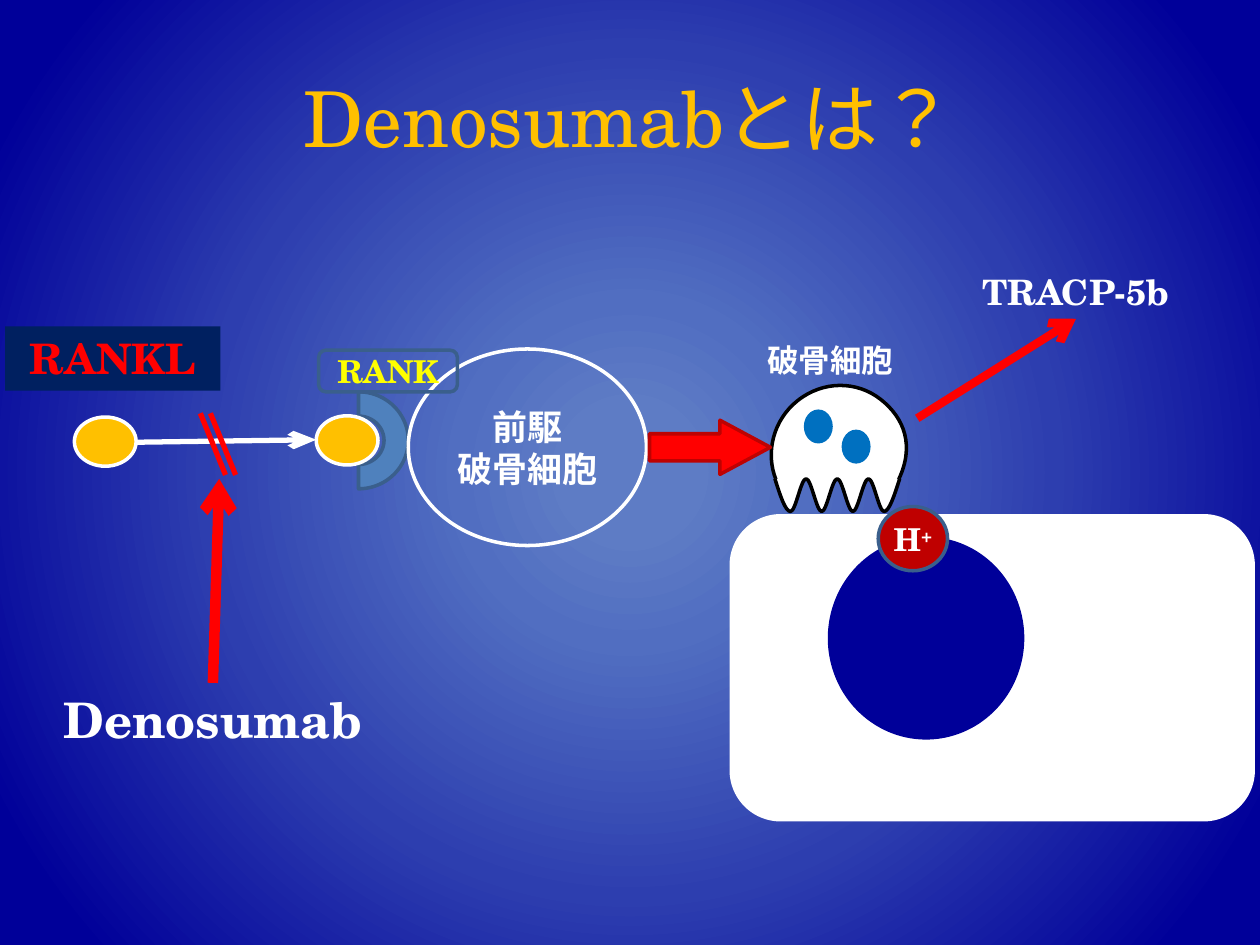
from dataclasses import dataclass

from lxml import etree
from pptx import Presentation
from pptx.dml.color import RGBColor
from pptx.enum.lang import MSO_LANGUAGE_ID as LANG
from pptx.enum.shapes import MSO_CONNECTOR, MSO_SHAPE as SHAPE
from pptx.enum.text import MSO_ANCHOR as ANCHOR, PP_ALIGN as ALIGN
from pptx.oxml import parse_xml
from pptx.oxml.ns import nsdecls, qn
from pptx.util import Inches, Pt


@dataclass(frozen=True)
class Theme:
    latin: str = "TeX Gyre Schola"
    asian: str = "Noto Sans CJK JP"
    white: str = "FFFFFF"
    black: str = "000000"
    gold: str = "FFC000"
    yellow: str = "FFFF00"
    red: str = "FF0000"
    dark_red: str = "BE0202"
    proton: str = "BF0000"
    navy: str = "002060"
    deep_blue: str = "000099"
    eye: str = "0070C0"
    receptor: str = "4F81BD"
    edge: str = "3A5F8C"
    gradient: tuple = ((8, "5E7CC5"), (22, "516EC1"), (54, "2D3EAF"), (91, "000099"))
    title: int = 44
    drug: int = 28
    ligand: int = 24
    label: int = 20
    small: int = 18


T = Theme()


@dataclass(frozen=True)
class Box:
    """A region, in inches; parts are placed from its top left corner."""
    x: float
    y: float

    def point(self, x, y):
        return Inches(self.x + x), Inches(self.y + y)

    def area(self, x, y, w, h):
        return *self.point(x, y), Inches(w), Inches(h)


def rgb(value):
    return RGBColor.from_string(value)


def paint(sp, fill=None, line=None, width=2):
    sp.shadow.inherit = False
    if fill:
        sp.fill.solid()
        sp.fill.fore_color.rgb = rgb(fill)
    else:
        sp.fill.background()
    if line:
        sp.line.color.rgb = rgb(line)
        sp.line.width = Pt(width)
    else:
        sp.line.fill.background()
    return sp


def write(sp, text, size, color, bold=True, latin=T.latin, anchor=ANCHOR.TOP,
          align=ALIGN.CENTER):
    tf = sp.text_frame
    tf.text = text
    tf.word_wrap = True
    tf.vertical_anchor = anchor
    for p in tf.paragraphs:
        p.alignment = align
        for r in p.runs:
            style(r, size, color, bold, latin)
    return sp


def style(r, size, color, bold=True, latin=T.latin):
    r.font.size = Pt(size)
    r.font.bold = bold
    r.font.name = latin
    r.font.color.rgb = rgb(color)
    r.font.language_id = LANG.JAPANESE
    etree.SubElement(r.font._element, qn("a:ea"), typeface=T.asian)


def add_shape(s, kind, area, fill=None, line=None):
    return paint(s.shapes.add_shape(kind, *area), fill, line)


def add_label(s, area, text, size, align=ALIGN.CENTER):
    return write(s.shapes.add_textbox(*area), text, size, T.white, align=align)


def add_line(s, start, end, color, width, arrow=None):
    """Straight line; arrow is the length of the head, if it has one."""
    line = s.shapes.add_connector(MSO_CONNECTOR.STRAIGHT, *start, *end)
    line.line.color.rgb = rgb(color)
    line.line.width = Pt(width)
    if arrow:
        etree.SubElement(line.line._get_or_add_ln(), qn("a:tailEnd"), type="arrow", len=arrow)
    etree.SubElement(line._element.spPr, qn("a:effectLst"))


def add_curve(s, box, start, segments, fill, line):
    """Open outline of cubic curves, each given by two controls and an end."""
    fb = s.shapes.build_freeform(*box.point(*start))
    fb.add_line_segments([box.point(*pt) for seg in segments for pt in seg], close=False)
    sp = fb.convert_to_shape()
    path = sp._element.find(".//" + qn("a:path"))
    strokes = path.findall(qn("a:lnTo"))
    for i in range(0, len(strokes), 3):
        cubic = etree.SubElement(path, qn("a:cubicBezTo"))
        for stroke in strokes[i:i + 3]:
            cubic.append(stroke[0])
            path.remove(stroke)
    return paint(sp, fill, line)


def add_background(s):
    fill = s.background.fill
    fill.solid()
    stops = "".join(f'<a:gs pos="{pos * 1000}"><a:srgbClr val="{c}"/></a:gs>'
                    for pos, c in T.gradient)
    grad = parse_xml(
        f'<a:gradFill {nsdecls("a")} rotWithShape="1"><a:gsLst>{stops}</a:gsLst>'
        '<a:path path="circle"><a:fillToRect l="50000" t="50000" r="50000" b="50000"/>'
        '</a:path></a:gradFill>')
    solid = s.background._cSld.find(".//" + qn("a:solidFill"))
    solid.getparent().replace(solid, grad)


def add_title(s, box):
    title = s.shapes.title
    title.left, title.top, title.width, title.height = box.area(0, 0, 9, 1.25)
    write(title, "Denosumabとは？", T.title, T.gold, bold=False, anchor=ANCHOR.MIDDLE)


def add_osteoclast(s, box):
    add_label(s, box.area(-0.16, -0.39, 1.37, 0.4), "破骨細胞", T.small, ALIGN.LEFT)
    # Released marker
    add_label(s, box.area(1.46, -0.95, 1.86, 0.44), "TRACP-5b", T.label)
    add_line(s, box.point(1.13, 0.27), box.point(2.39, -0.52), T.red, 4.75, arrow="med")
    # Domed body
    cell = s.shapes.add_group_shape()
    add_curve(cell, box, (0.01, 0.76), [
        ((-0.08, 0.54), (-0.01, 0.28), (0.18, 0.13)),
        ((0.38, -0.03), (0.65, -0.03), (0.84, 0.12)),
        ((1.03, 0.27), (1.11, 0.49), (0.98, 0.76))], T.white, T.black)
    # Ruffled border: four teeth, each one down and one up stroke
    high, low, strokes = 0.75, 1.01, 8
    step, middle = 0.99 / strokes, (high + low) / 2
    ruffles = []
    for i in range(strokes):
        y0, y1 = (high, low) if i % 2 == 0 else (low, high)
        ruffles.append((((i + 1 / 3) * step, middle if i == 0 else y0),
                        ((i + 2 / 3) * step, middle if i == strokes - 1 else y1),
                        ((i + 1) * step, y1)))
    add_curve(cell, box, (0, high), ruffles, T.white, T.black)
    # Nuclei
    for x, y in ((0.23, 0.2), (0.53, 0.36)):
        add_shape(cell, SHAPE.OVAL, box.area(x, y, 0.23, 0.27), T.eye)


def add_precursor(s, box):
    # Receptor on the cell surface
    arc = add_shape(s, SHAPE.BLOCK_ARC, box.area(0, 0.33, 0.77, 0.79), T.receptor, T.edge)
    arc.rotation = 90
    cell = add_shape(s, SHAPE.OVAL, box.area(0.78, 0, 1.89, 1.56), line=T.white)
    write(cell, "前駆\n破骨細胞", T.label, T.white, latin=T.asian, anchor=ANCHOR.MIDDLE)
    tag = add_shape(s, SHAPE.ROUNDED_RECTANGLE, box.area(0.07, 0.01, 1.1, 0.33), line=T.edge)
    write(tag, "RANK", T.small, T.yellow, anchor=ANCHOR.MIDDLE)
    # Differentiation arrow
    arrow = add_shape(s, SHAPE.DOWN_ARROW, box.area(2.96, 0.3, 0.43, 0.96), T.red, T.dark_red)
    arrow.adjustments[1] = 0.932
    arrow.rotation = 270


def add_ligand_path(s, box):
    tag = add_shape(s, SHAPE.RECTANGLE, box.area(0, 0, 1.71, 0.51), T.navy)
    write(tag, "RANKL", T.ligand, T.red)
    # Free and bound ligand
    for x, y in ((0.55, 0.72), (2.47, 0.71)):
        add_shape(s, SHAPE.OVAL, box.area(x, y, 0.49, 0.39), T.gold, T.white)
    add_line(s, box.point(1.04, 0.92), box.point(2.47, 0.9), T.white, 3, arrow="lg")
    # Drug blocking the path
    add_label(s, box.area(0.2, 2.83, 2.9, 0.65), "Denosumab", T.drug)
    for x in (1.55, 1.63):
        add_line(s, box.point(x, 0.69), box.point(x + 0.2, 1.18), T.red, 3)
    add_line(s, box.point(1.65, 2.83), box.point(1.7, 1.21), T.red, 6, arrow="med")


def add_bone(s, box):
    add_shape(s, SHAPE.ROUNDED_RECTANGLE, box.area(0, 0, 4.17, 2.44), T.white)


def add_resorption(s, box):
    # Pit in the bone, with the proton at its rim
    add_shape(s, SHAPE.OVAL, box.area(0, 0.24, 1.56, 1.61), T.deep_blue)
    proton = s.shapes.add_group_shape()
    add_shape(proton, SHAPE.OVAL, box.area(0.4, 0, 0.55, 0.51), T.proton, T.edge)
    label = add_label(proton, box.area(0.4, 0.06, 0.55, 0.4), "H", T.small)
    r = label.text_frame.paragraphs[0].add_run()
    r.text = "+"
    style(r, T.small, T.white)
    r.font._element.set("baseline", "30000")


def main():
    prs = Presentation()
    prs.slide_width, prs.slide_height = Inches(10), Inches(7.5)
    s = prs.slides.add_slide(prs.slide_layouts[5])
    add_background(s)
    add_title(s, Box(0.5, 0.3))
    add_bone(s, Box(5.79, 4.08))
    add_osteoclast(s, Box(6.15, 3.05))
    add_precursor(s, Box(2.46, 2.77))
    add_ligand_path(s, Box(0.04, 2.59))
    add_resorption(s, Box(6.57, 4.02))
    prs.save("out.pptx")


if __name__ == "__main__":
    main()
